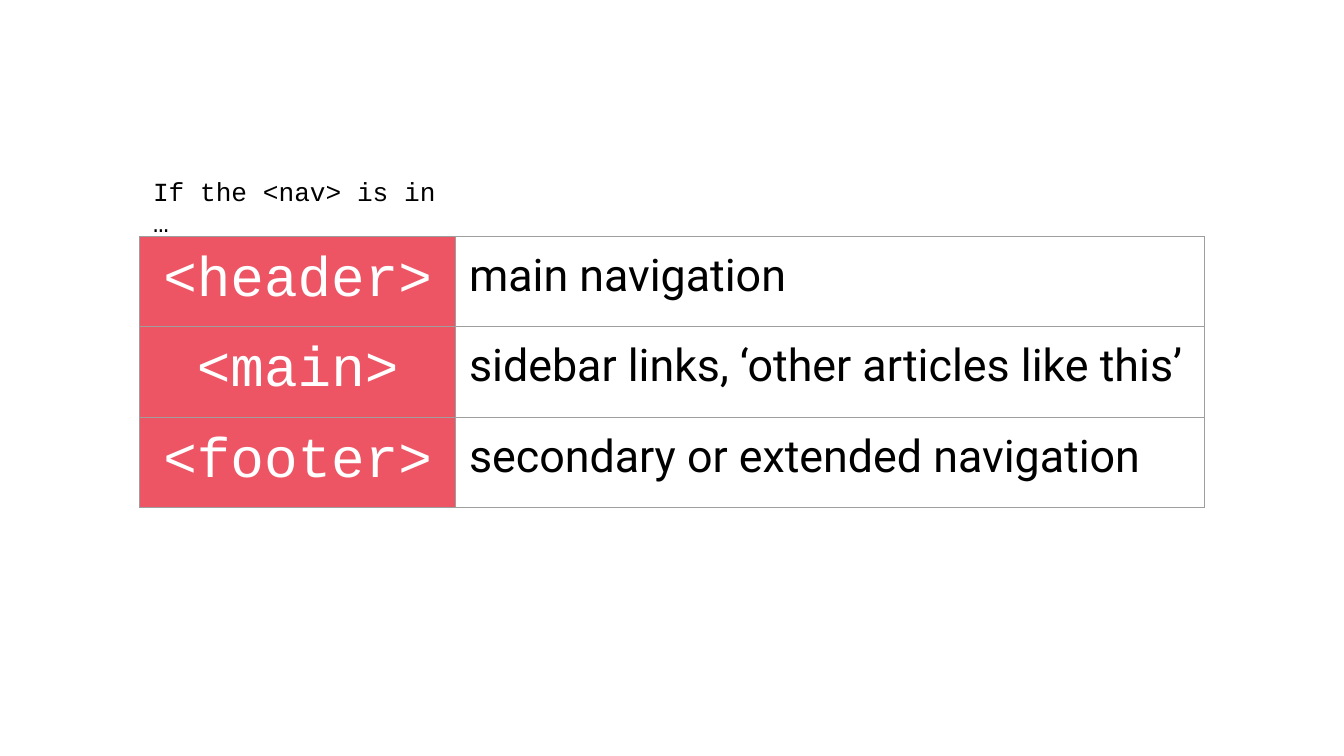
"""Build a slide on what a nav element means in each page region."""
from lxml import etree
from pptx import Presentation
from pptx.dml.color import RGBColor
from pptx.enum.text import MSO_ANCHOR, PP_ALIGN
from pptx.oxml.ns import qn
from pptx.util import Inches, Pt

LEFT, CENTER = PP_ALIGN.LEFT, PP_ALIGN.CENTER
MIDDLE = MSO_ANCHOR.MIDDLE
COLORS = {"red": "ED5565", "grey": "9E9E9E", "white": "FFFFFF", "black": "000000"}
MONO, SANS = "Courier New", "Roboto"
WIDTH = 10
PAD = Inches(0.1)
COLS = (2.35, 5.57)
ROWS = (
    ("<header>", "main navigation"),
    ("<main>", "sidebar links, ‘other articles like this’"),
    ("<footer>", "secondary or extended navigation"),
)


def pad(item):
    item.margin_left = item.margin_right = PAD
    item.margin_top = item.margin_bottom = PAD


def write(frame, text, font, size, color, align=LEFT):
    frame.text = text
    para = frame.paragraphs[0]
    para.alignment = align
    face = para.runs[0].font
    face.name, face.size = font, Pt(size)
    face.color.rgb = RGBColor.from_string(COLORS[color])


def border(cell):
    props = cell._tc.get_or_add_tcPr()
    for side in ("lnL", "lnR", "lnT", "lnB"):
        line = etree.SubElement(props, qn("a:" + side), w=str(Pt(0.75)))
        fill = etree.SubElement(line, qn("a:solidFill"))
        etree.SubElement(fill, qn("a:srgbClr"), val=COLORS["grey"])


def add_grid(slide):
    shape = slide.shapes.add_table(
        len(ROWS), len(COLS), Inches(1.04), Inches(1.76), Inches(sum(COLS)), Inches(2.1)
    )
    table = shape.table
    table.first_row = table.horz_banding = False
    for col, width in zip(table.columns, COLS):
        col.width = Inches(width)
    for row, (tag, use) in zip(table.rows, ROWS):
        row.height = Inches(0.42)
        head, body = row.cells
        for cell in (head, body):
            pad(cell)
            border(cell)
        head.fill.solid()
        head.fill.fore_color.rgb = RGBColor.from_string(COLORS["red"])
        body.fill.background()
        write(head.text_frame, tag, MONO, 30, "white", CENTER)
        write(body.text_frame, use, SANS, 24, "black")
    shape.height = Inches(2.1)


def add_label(slide, text):
    box = slide.shapes.add_textbox(
        Inches(1.04), Inches(1.31), Inches(COLS[0]), Inches(0.45)
    )
    frame = box.text_frame
    frame.word_wrap = True
    frame.vertical_anchor = MIDDLE
    pad(frame)
    write(frame, text, MONO, 14, "black")


def main():
    deck = Presentation()
    deck.slide_width, deck.slide_height = Inches(WIDTH), Inches(WIDTH * 9 / 16)
    slide = deck.slides.add_slide(deck.slide_layouts[6])
    add_grid(slide)
    add_label(slide, "If the <nav> is in …")
    deck.save("out.pptx")


if __name__ == "__main__":
    main()
